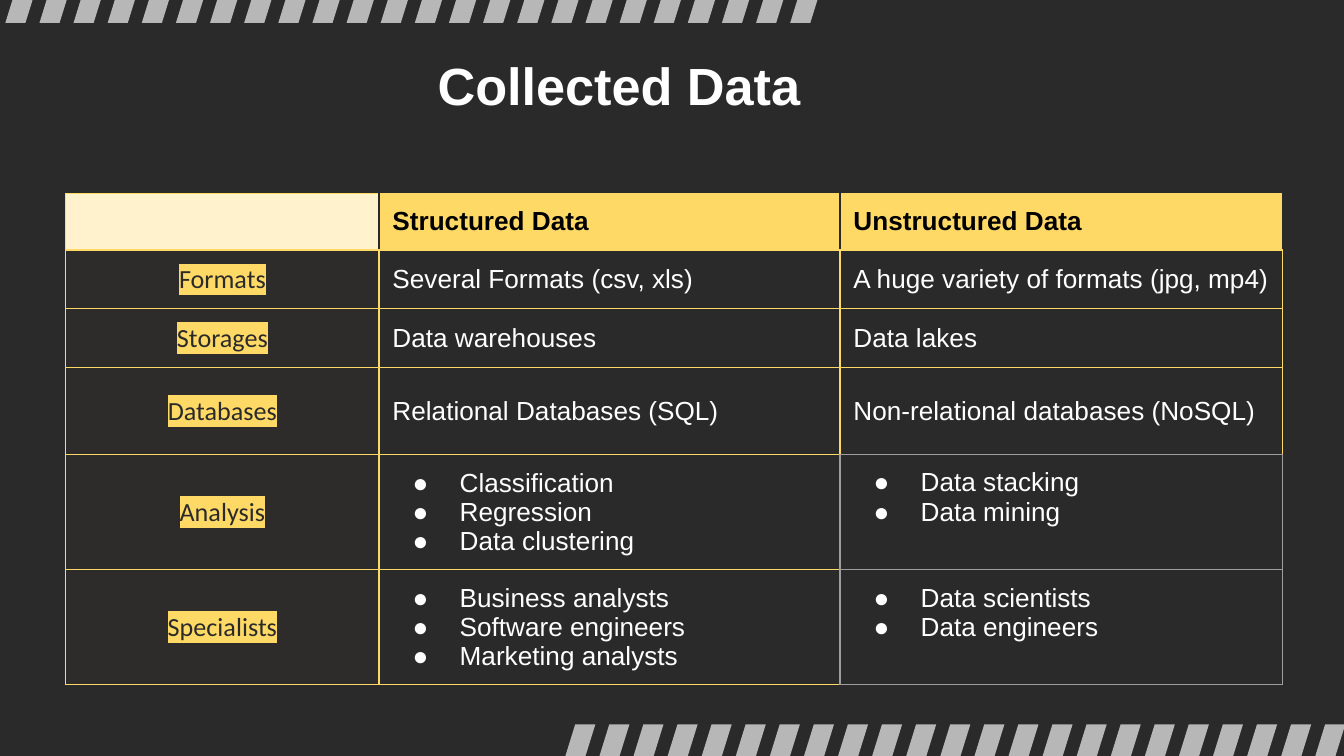
from pptx import Presentation
from pptx.dml.color import RGBColor
from pptx.enum.text import MSO_ANCHOR, MSO_AUTO_SIZE, PP_ALIGN
from pptx.oxml.ns import qn
from pptx.util import Inches, Pt
from lxml import etree

CENTER, LEFT = PP_ALIGN.CENTER, PP_ALIGN.LEFT
TOP, MIDDLE = MSO_ANCHOR.TOP, MSO_ANCHOR.MIDDLE
NO_AUTOFIT = MSO_AUTO_SIZE.NONE

DARK = RGBColor(0x2A, 0x2A, 0x2A)
LABEL_FILL = RGBColor(0x2D, 0x2C, 0x2B)
STRIPE = RGBColor(0xB7, 0xB7, 0xB7)
YELLOW = RGBColor(0xFF, 0xD9, 0x66)
CREAM = RGBColor(0xFF, 0xF2, 0xCC)
GREY = RGBColor(0x9E, 0x9E, 0x9E)
WHITE = RGBColor(0xFF, 0xFF, 0xFF)
BLACK = RGBColor(0x00, 0x00, 0x00)

TITLE_FONT = {"name": "Arial", "size": Pt(28), "bold": True, "color": WHITE}
HEADER_FONT = {"name": "Arial", "size": Pt(14), "bold": True, "color": BLACK}
LABEL_FONT = {"name": "Calibri", "size": Pt(14), "bold": False, "color": DARK}
BODY_FONT = {"name": "Arial", "size": Pt(14), "bold": False, "color": WHITE}

MARGINS = ("margin_left", "margin_top", "margin_right", "margin_bottom")
STRIPE_OUTLINE = [(0.33, 0), (0.18, 0), (0, 0.58), (0.15, 0.58)]

COLUMN_WIDTHS = [2.33, 3.43, 3.29]
ROW_HEIGHTS = [0.42, 0.43, 0.43, 0.65, 0.85, 0.85]
# A list in a cell is shown as bullets.
COMPARISON = [
    ["", "Structured Data", "Unstructured Data"],
    ["Formats", "Several Formats (csv, xls)", "A huge variety of formats (jpg, mp4)"],
    ["Storages", "Data warehouses", "Data lakes"],
    ["Databases", "Relational Databases (SQL)", "Non-relational databases (NoSQL)"],
    ["Analysis", ["Classification", "Regression", "Data clustering"],
     ["Data stacking", "Data mining"]],
    ["Specialists", ["Business analysts", "Software engineers", "Marketing analysts"],
     ["Data scientists", "Data engineers"]],
]


def set_font(font, values):
    for attribute, value in values.items():
        if attribute == "color":
            font.color.rgb = value
        else:
            setattr(font, attribute, value)


def add_stripes(slide, first, last, top, count):
    """Draw a row of slanted stripes, evenly spaced from first to last."""
    group = slide.shapes.add_group_shape()
    pitch = (last - first) / (count - 1)
    for index in range(count):
        left = first + index * pitch
        corners = [(Inches(left + x), Inches(top + y)) for x, y in STRIPE_OUTLINE]
        builder = group.shapes.build_freeform(*corners[0])
        builder.add_line_segments(corners[1:], close=True)
        stripe = builder.convert_to_shape()
        stripe.shadow.inherit = False
        stripe.fill.solid()
        stripe.fill.fore_color.rgb = STRIPE
        stripe.line.fill.background()


def add_title(slide, left, top, width, height):
    title = slide.shapes.title
    title.left, title.top = Inches(left), Inches(top)
    title.width, title.height = Inches(width), Inches(height)
    frame = title.text_frame
    frame.text = "Collected Data"
    frame.auto_size = NO_AUTOFIT
    frame.vertical_anchor = MIDDLE
    for margin in MARGINS:
        setattr(frame, margin, Inches(0.1))
    frame.paragraphs[0].alignment = CENTER
    set_font(frame.paragraphs[0].runs[0].font, TITLE_FONT)


def set_borders(cell, left, top, right, bottom):
    properties = cell._tc.get_or_add_tcPr()
    sides = zip(("a:lnL", "a:lnR", "a:lnT", "a:lnB"), (left, right, top, bottom))
    for position, (tag, color) in enumerate(sides):
        line = etree.Element(qn(tag), w=str(Pt(0.75)))
        fill = etree.SubElement(line, qn("a:solidFill"))
        etree.SubElement(fill, qn("a:srgbClr"), val=str(color))
        properties.insert(position, line)


def add_bullet(paragraph):
    properties = paragraph._p.get_or_add_pPr()
    properties.set("marL", str(Inches(0.5)))
    properties.set("indent", str(Inches(-0.35)))
    color = etree.SubElement(properties, qn("a:buClr"))
    etree.SubElement(color, qn("a:srgbClr"), val=str(WHITE))
    etree.SubElement(properties, qn("a:buSzPts"), val="1400")
    etree.SubElement(properties, qn("a:buFont"), typeface="Arial")
    etree.SubElement(properties, qn("a:buChar"), char="●")


def add_highlight(run, color):
    highlight = etree.Element(qn("a:highlight"))
    etree.SubElement(highlight, qn("a:srgbClr"), val=str(color))
    run._r.get_or_add_rPr().find(qn("a:solidFill")).addnext(highlight)


def fill_cell(cell, content, font, is_label):
    """Write one text, or a bulleted list, into a cell."""
    bulleted = isinstance(content, list)
    frame = cell.text_frame
    for index, text in enumerate(content if bulleted else [content]):
        paragraph = frame.add_paragraph() if index else frame.paragraphs[0]
        if bulleted:
            add_bullet(paragraph)
        paragraph.alignment = CENTER if is_label else LEFT
        if not text:
            # Keeps the empty corner from stretching its row.
            ending = paragraph._p.get_or_add_endParaRPr()
            ending.set("sz", "1400")
            etree.SubElement(ending, qn("a:latin"), typeface="Arial")
            continue
        run = paragraph.add_run()
        run.text = text
        set_font(run.font, font)
        if is_label:
            add_highlight(run, YELLOW)


def border_colors(row, column, bulleted):
    """Return the left, top, right and bottom border colours of a cell."""
    if row == 0:
        return (DARK if column else YELLOW), YELLOW, DARK, YELLOW
    if bulleted:
        return (GREY,) * 4 if column == 2 else (YELLOW, YELLOW, GREY, YELLOW)
    above_grey = column == 2 and isinstance(COMPARISON[row + 1][column], list)
    return YELLOW, YELLOW, YELLOW, GREY if above_grey else YELLOW


def add_comparison(slide, left, top):
    table = slide.shapes.add_table(
        len(ROW_HEIGHTS), len(COLUMN_WIDTHS), Inches(left), Inches(top),
        Inches(sum(COLUMN_WIDTHS)), Inches(sum(ROW_HEIGHTS))).table
    table.first_row = table.horz_banding = False
    for column, width in zip(table.columns, COLUMN_WIDTHS):
        column.width = Inches(width)
    for row, height in zip(table.rows, ROW_HEIGHTS):
        row.height = Inches(height)

    for r, contents in enumerate(COMPARISON):
        for c, content in enumerate(contents):
            cell = table.cell(r, c)
            bulleted = isinstance(content, list)
            is_label = c == 0
            if r == 0:
                font, fill = HEADER_FONT, CREAM if is_label else YELLOW
            elif is_label:
                font, fill = LABEL_FONT, LABEL_FILL
            else:
                font, fill = BODY_FONT, None
            for margin in MARGINS:
                setattr(cell, margin, Inches(0.1))
            cell.vertical_anchor = TOP if bulleted and c == 2 else MIDDLE
            if fill is None:
                cell.fill.background()
            else:
                cell.fill.solid()
                cell.fill.fore_color.rgb = fill
            set_borders(cell, *border_colors(r, c, bulleted))
            fill_cell(cell, content, font, is_label)


def main():
    deck = Presentation()
    deck.slide_width = Inches(10)
    deck.slide_height = deck.slide_width * 9 // 16
    slide = deck.slides.add_slide(deck.slide_layouts.get_by_name("Title Only"))
    slide.background.fill.solid()
    slide.background.fill.fore_color.rgb = DARK
    add_stripes(slide, first=0.04, last=5.88, top=-0.41, count=24)
    add_stripes(slide, first=4.1, last=9.68, top=5.39, count=23)
    add_title(slide, 0.8, 0.36, 7.61, 0.54)
    add_comparison(slide, 0.49, 1.44)
    deck.save("out.pptx")


if __name__ == "__main__":
    main()
